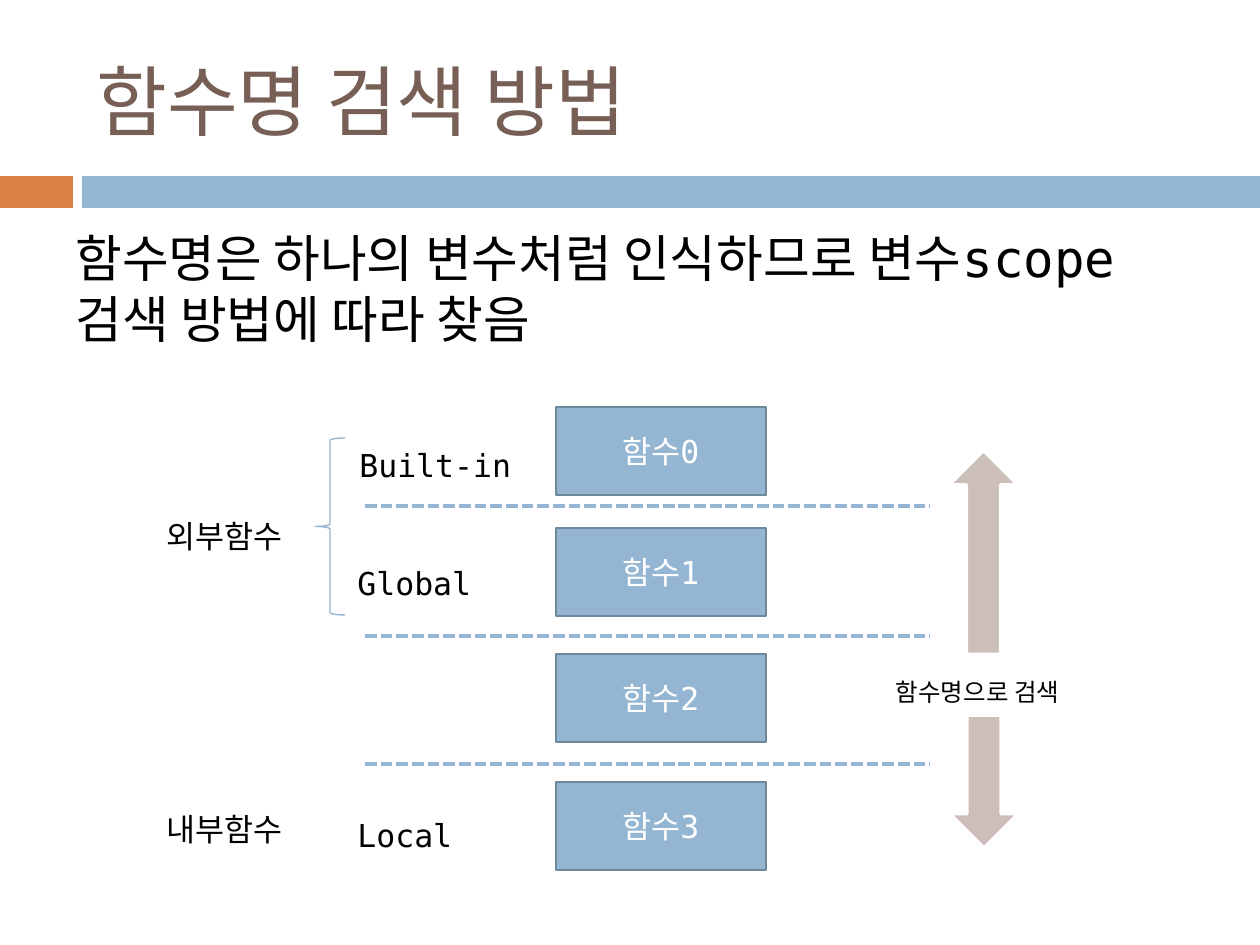
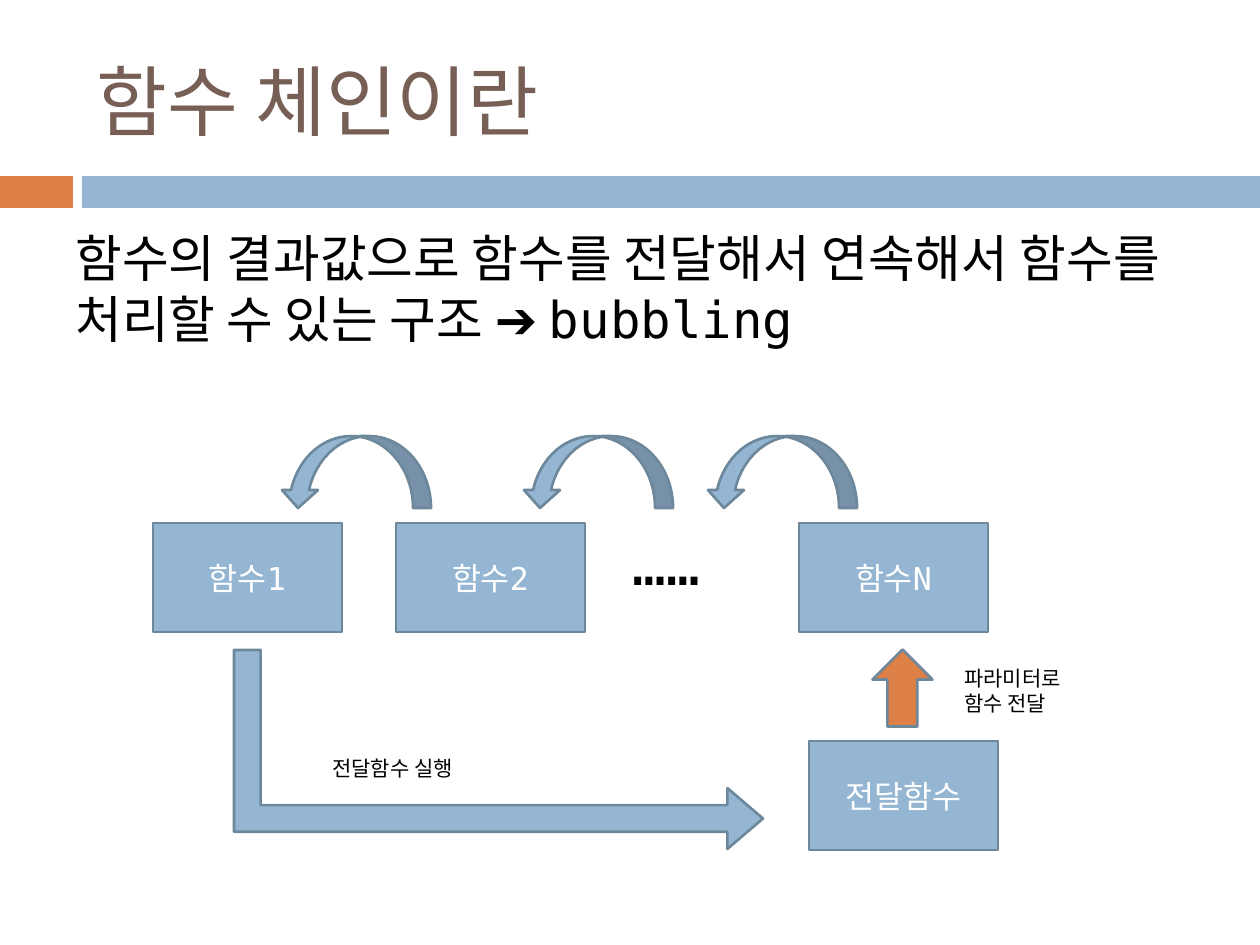
from lxml.etree import SubElement
from pptx import Presentation
from pptx.dml.color import RGBColor
from pptx.enum.dml import MSO_LINE
from pptx.enum.shapes import MSO_CONNECTOR, MSO_SHAPE as SHAPE
from pptx.enum.text import MSO_ANCHOR as ANCHOR, PP_ALIGN as ALIGN
from pptx.oxml.ns import qn
from pptx.util import Emu, Pt

FONT = "DejaVu Sans Mono"
BLUE, ORANGE, BROWN, TAUPE = "94B6D2", "DD8047", "775F55", "CCBEB8"
EDGE, BLACK, WHITE = "6D879B", "000000", "FFFFFF"


def px(n):
    """Turn pixels into EMU at 126 pixels to the inch."""
    return Emu(round(n * 914400 / 126))


def rgb(value):
    """Turn a hex string into a colour."""
    return RGBColor.from_string(value)


def write(sp, text, size, color, align=ALIGN.LEFT, anchor=ANCHOR.TOP, before=0):
    """Put one styled paragraph into a shape."""
    tf = sp.text_frame
    tf.word_wrap = True
    tf.vertical_anchor = anchor
    tf.text = text
    p = tf.paragraphs[0]
    p.alignment = align
    p.space_before = Pt(before)
    for r in p.runs:
        r.font.size = Pt(size)
        r.font.name = FONT
        r.font.color.rgb = rgb(color)


def label(slide, box, text, size=18, color=BLACK, **style):
    """Add a text box."""
    sp = slide.shapes.add_textbox(*map(px, box))
    write(sp, text, size, color, **style)


def shape(slide, kind, box, fill=None, line=None, width=1.5, turn=0):
    """Add a preset shape, with fill and outline where given."""
    sp = slide.shapes.add_shape(kind, *map(px, box))
    sp.shadow.inherit = False
    sp.rotation = turn
    if fill:
        sp.fill.solid()
        sp.fill.fore_color.rgb = rgb(fill)
    else:
        sp.fill.background()
    if line:
        sp.line.color.rgb = rgb(line)
        sp.line.width = Pt(width)
    else:
        sp.line.fill.background()
    return sp


def function_box(slide, box, text):
    """Add a blue box that stands for a function."""
    sp = shape(slide, SHAPE.RECTANGLE, box, BLUE, EDGE)
    write(sp, text, 18, WHITE, ALIGN.CENTER, ANCHOR.MIDDLE)


def dashed_line(slide, x, y, length):
    """Add a horizontal dashed divider."""
    cx = slide.shapes.add_connector(
        MSO_CONNECTOR.STRAIGHT, px(x), px(y), px(x + length), px(y))
    cx.line.color.rgb = rgb(BLUE)
    cx.line.width = Pt(2.25)
    cx.line.dash_style = MSO_LINE.SQUARE_DOT
    SubElement(cx._element.spPr, qn("a:effectLst"))


def new_slide(prs, title, body):
    """Add a slide with the shared bands, title and body text."""
    slide = prs.slides.add_slide(prs.slide_layouts[6])
    shape(slide, SHAPE.RECTANGLE, (0, 176, 73, 32), ORANGE)
    shape(slide, SHAPE.RECTANGLE, (82, 176, 1178, 32), BLUE)
    label(slide, (84, 32, 1124, 136), title, 44, BROWN, anchor=ANCHOR.MIDDLE)
    label(slide, (63, 221, 1134, 173), body, 29, before=7)
    return slide


def search_slide(prs):
    """Build the slide on how function names are looked up."""
    slide = new_slide(prs, "함수명 검색 방법",
                      "함수명은 하나의 변수처럼 인식하므로 변수scope 검색 방법에 따라 찾음")
    for i, y in enumerate((407, 528, 654, 782)):
        function_box(slide, (556, y, 210, 88), f"함수{i}")
    for y in (506, 636, 764):
        dashed_line(slide, 365, y, 565)
    for x, y, text in ((347, 440, "Built-in"), (345, 558, "Global"), (345, 810, "Local")):
        label(slide, (x, y, 192, 44), text)
    for y, text in ((511, "외부함수"), (804, "내부함수")):
        label(slide, (154, y, 161, 44), text)
    shape(slide, SHAPE.LEFT_BRACE, (315, 438, 30, 177), line=BLUE, width=0.79)
    shape(slide, SHAPE.RIGHT_ARROW, (882, 519, 203, 67), TAUPE, WHITE, turn=270)
    shape(slide, SHAPE.RIGHT_ARROW, (918, 748, 132, 67), TAUPE, WHITE, turn=90)
    label(slide, (878, 671, 238, 37), " 함수명으로 검색", 14)


def chain_slide(prs):
    """Build the slide on function chains."""
    slide = new_slide(prs, "함수 체인이란",
                      "함수의 결과값으로 함수를 전달해서 연속해서 함수를 처리할 수 있는 구조 ➔ bubbling")
    boxes = ((153, 523, "함수1"), (396, 523, "함수2"), (799, 523, "함수N"), (809, 741, "전달함수"))
    for x, y, text in boxes:
        function_box(slide, (x, y, 189, 109), text)
    for x in (706, 522, 280):
        shape(slide, SHAPE.CURVED_UP_ARROW, (x, 436, 151, 72), BLUE, EDGE, turn=180)
    shape(slide, SHAPE.RIGHT_ARROW, (864, 658, 77, 60), ORANGE, EDGE, turn=270)
    bent = shape(slide, SHAPE.BENT_UP_ARROW, (399, 485, 199, 529), BLUE, EDGE, turn=90)
    for i, value in enumerate((0.134, 0.153, 0.179)):
        bent.adjustments[i] = value
    label(slide, (620, 523, 161, 73), "……", 32)
    label(slide, (952, 659, 135, 58), "파라미터로 함수 전달", 12)
    label(slide, (320, 749, 222, 35), "전달함수 실행", 12)


def main():
    """Build and save the presentation."""
    prs = Presentation()
    prs.slide_width, prs.slide_height = px(1260), px(945)
    search_slide(prs)
    chain_slide(prs)
    prs.save("out.pptx")


main()
